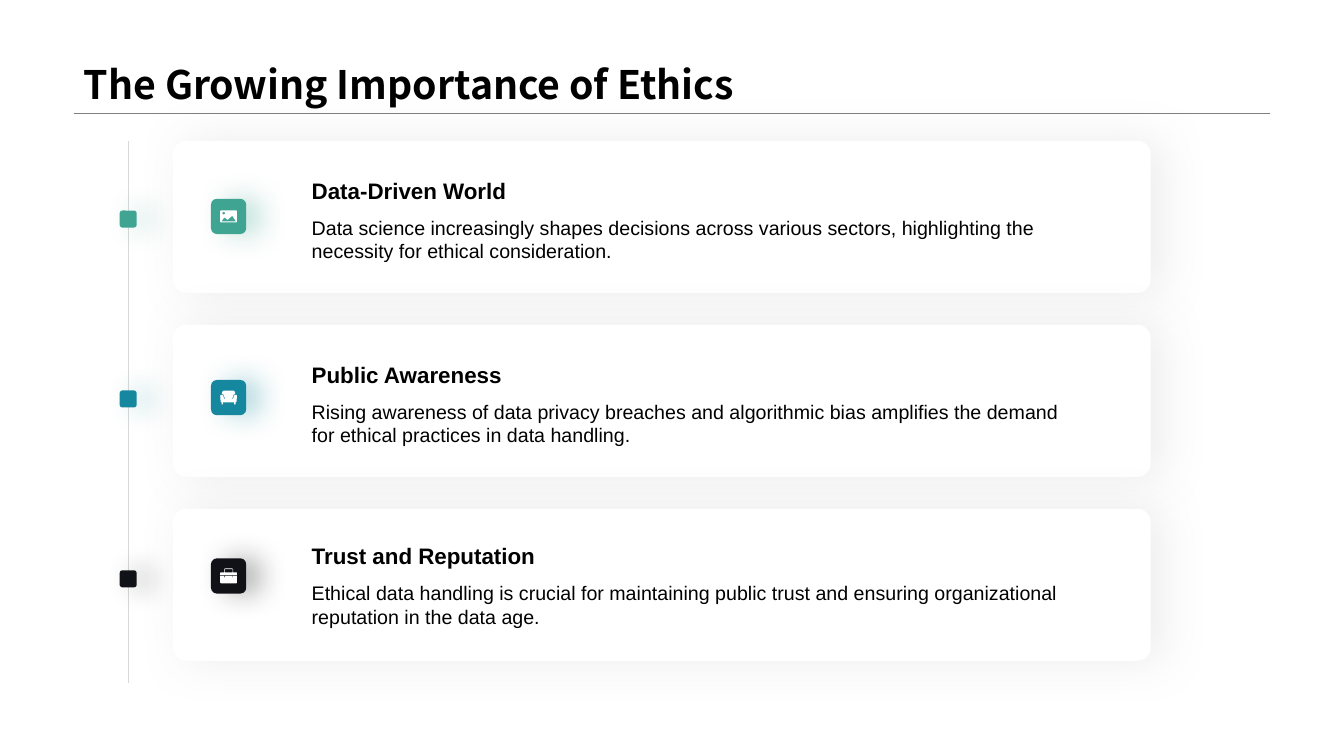
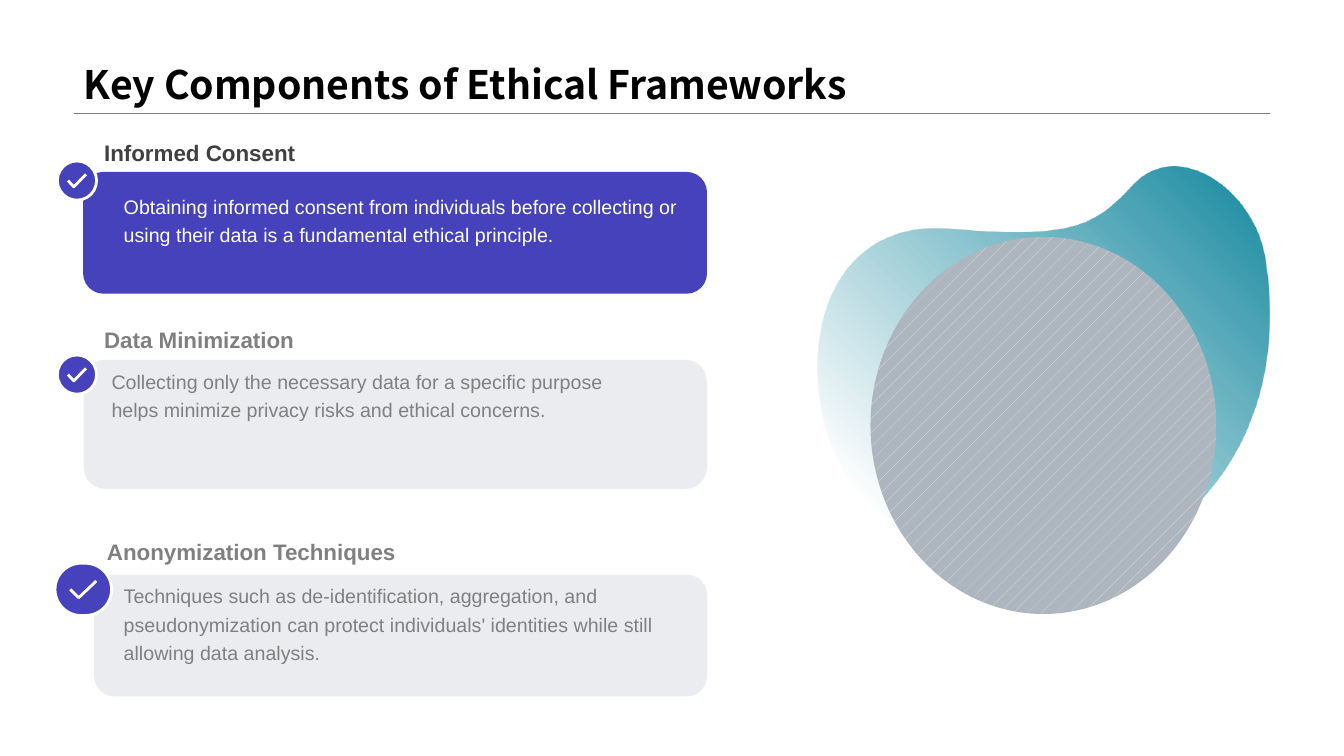
import pptx
import pptx.util
import pptx.dml.color
import pptx.enum.dml
import pptx.enum.shapes
import pptx.enum.text
import pptx.oxml.ns
import lxml.etree

Pt = pptx.util.Pt
RGBColor = pptx.dml.color.RGBColor
qn = pptx.oxml.ns.qn
ROUNDED = pptx.enum.shapes.MSO_SHAPE.ROUNDED_RECTANGLE
OVAL = pptx.enum.shapes.MSO_SHAPE.OVAL
STRAIGHT = pptx.enum.shapes.MSO_CONNECTOR.STRAIGHT
TOP = pptx.enum.text.MSO_ANCHOR.TOP
BOTTOM = pptx.enum.text.MSO_ANCHOR.BOTTOM

BLACK = RGBColor(0x00, 0x00, 0x00)
WHITE = RGBColor(0xFF, 0xFF, 0xFF)
DARK_GRAY = RGBColor(0x40, 0x40, 0x40)
GRAY = RGBColor(0x80, 0x80, 0x80)
SHADOW_GRAY = RGBColor(0xA6, 0xA6, 0xA6)
RAIL_GRAY = RGBColor(0xD8, 0xD8, 0xD8)
SLATE = RGBColor(0x76, 0x83, 0x94)
DISC_GRAY = RGBColor(0xAD, 0xB5, 0xBF)
DISC_HATCH = RGBColor(0xE4, 0xE6, 0xEA)
GREEN = RGBColor(0x3F, 0xA5, 0x92)
TEAL = RGBColor(0x15, 0x88, 0x9F)
INK = RGBColor(0x11, 0x12, 0x18)
INDIGO = RGBColor(0x45, 0x42, 0xBB)

TITLE = {"name": "Noto Sans CJK SC", "size": Pt(28), "bold": True}
HEADING = {"name": "Arial", "size": Pt(16), "bold": True}
BODY = {"name": "Arial", "size": Pt(14), "bold": False}


def add_text(slide, box, text, font_format, color, spacing=1.0, anchor=TOP):
    frame = slide.shapes.add_textbox(*map(Pt, box)).text_frame
    frame.word_wrap = True
    frame.vertical_anchor = anchor
    if anchor == TOP:
        frame.auto_size = pptx.enum.text.MSO_AUTO_SIZE.SHAPE_TO_FIT_TEXT
    paragraph = frame.paragraphs[0]
    paragraph.line_spacing = spacing
    run = paragraph.add_run()
    run.text = text
    for name, value in font_format.items():
        setattr(run.font, name, value)
    run.font.color.rgb = color


def add_rounded(slide, box, color, radius=0.1667, shadow=None, alpha=None):
    shape = slide.shapes.add_shape(ROUNDED, *map(Pt, box))
    shape.adjustments[0] = radius
    shape.fill.solid()
    shape.fill.fore_color.rgb = color
    shape.line.fill.background()
    shape.shadow.inherit = False
    if alpha:
        fill_color = shape._element.spPr.find(qn("a:solidFill"))[0]
        lxml.etree.SubElement(fill_color, qn("a:alpha"), val=str(alpha * 1000))
    if shadow:
        shadow_color, opacity, blur, distance = shadow
        effects = shape._element.spPr.find(qn("a:effectLst"))
        outer = lxml.etree.SubElement(
            effects, qn("a:outerShdw"), blurRad=str(Pt(blur)), dist=str(Pt(distance)),
            dir="0", algn="l", rotWithShape="0")
        tint = lxml.etree.SubElement(outer, qn("a:srgbClr"), val=str(shadow_color))
        lxml.etree.SubElement(tint, qn("a:alpha"), val=str(opacity * 1000))
    return shape


presentation = pptx.Presentation()
presentation.slide_width = Pt(960)
presentation.slide_height = Pt(540)

slides = []
for title in ("The Growing Importance of Ethics", "Key Components of Ethical Frameworks"):
    slide = presentation.slides.add_slide(presentation.slide_layouts[6])
    slides.append(slide)
    rule = slide.shapes.add_connector(STRAIGHT, Pt(52.8), Pt(80.8), Pt(907.2), Pt(80.8))
    rule.line.color.rgb = GRAY
    rule.line.width = Pt(0.25)
    lxml.etree.SubElement(rule._element.spPr, qn("a:effectLst"))
    add_text(slide, (52.8, 0, 854.4, 80.8), title, TITLE, BLACK, 0.9, BOTTOM)

importance, components = slides

PICTURE_ICON = [
    [(-5.5, -4.3), (5.5, -4.3), (6, -3.8), (6, 3.8), (5.5, 4.3), (-5.5, 4.3), (-6, 3.8), (-6, -3.8)],
    [(-5, 3.5), (-3.5, 1.2), (-2.6, 0.9), (-1, 2.3), (-0.3, 2.2), (2.2, -0.2), (2.8, -0.2), (5.2, 3.5)],
    [(-4.5, -2.3), (-4.2, -3), (-3.5, -3.3), (-2.8, -3), (-2.5, -2.3), (-2.8, -1.6), (-3.5, -1.3), (-4.2, -1.6)],
]
SOFA_ICON = [
    [(-5.4, -2), (-4.4, -1.9), (-3.9, -1.4), (-3.1, 1.2), (3.1, 1.2), (3.9, -1.4), (4.4, -1.9),
     (5.4, -2), (6, -1.4), (5.7, 2.9), (5, 3.4), (5, 4.9), (4, 4.9), (4, 3.4), (-4, 3.4),
     (-4, 4.9), (-5, 4.9), (-5, 3.4), (-5.7, 2.9), (-6, -1.4)],
    [(-3.6, -4.9), (3.6, -4.9), (4.6, -4), (4.7, -2.7), (3.5, -2), (2.6, 1), (-2.6, 1),
     (-3.5, -2), (-4.7, -2.7), (-4.6, -4)],
]
BRIEFCASE_ICON = [
    [(-6, -0.1), (-3.3, -0.1), (-3.3, 1), (-2.9, 1), (-2.9, -0.1), (2.9, -0.1), (2.9, 1),
     (3.3, 1), (3.3, -0.1), (6, -0.1), (6, 4.8), (5.5, 5.3), (-5.5, 5.3), (-6, 4.8)],
    [(-5.5, -2.6), (-3.2, -2.6), (-3.2, -4.8), (-2.6, -5.3), (2.6, -5.3), (3.2, -4.8),
     (3.2, -2.6), (5.5, -2.6), (6, -2.1), (6, -0.5), (-6, -0.5), (-6, -2.1)],
    [(-2.8, -4.9), (2.8, -4.9), (2.8, -2.6), (-2.8, -2.6)],
]

reasons = [
    ("Data-Driven World",
     "Data science increasingly shapes decisions across various sectors, "
     "highlighting the necessity for ethical consideration.",
     GREEN, 122.8, 142, PICTURE_ICON),
    ("Public Awareness",
     "Rising awareness of data privacy breaches and algorithmic bias amplifies "
     "the demand for ethical practices in data handling.",
     TEAL, 254.2, 271.4, SOFA_ICON),
    ("Trust and Reputation",
     "Ethical data handling is crucial for maintaining public trust and ensuring "
     "organizational reputation in the data age.",
     INK, 383.6, 398.8, BRIEFCASE_ICON),
]
for index, (heading, body, color, text_top, tile_top, icon) in enumerate(reasons):
    add_rounded(importance, (123.6, 100.6 + index * 131.4, 698.4, 108.6), WHITE, 0.087,
                (SHADOW_GRAY, 20, 32, 8))
    add_rounded(importance, (150.7, tile_top, 25.2, 25.2), color, shadow=(color, 32, 20, 10))
    points = [[(Pt(163.3 + x), Pt(tile_top + 12.6 + y)) for x, y in contour] for contour in icon]
    builder = importance.shapes.build_freeform(*points[0][0])
    builder.add_line_segments(points[0][1:])
    for contour in points[1:]:
        builder.move_to(*contour[0])
        builder.add_line_segments(contour[1:])
    symbol = builder.convert_to_shape()
    symbol.fill.solid()
    symbol.fill.fore_color.rgb = WHITE
    symbol.line.fill.background()
    symbol.shadow.inherit = False
    add_text(importance, (215.6, text_top, 553.6, 26.6), heading, HEADING, BLACK)
    add_text(importance, (215.6, text_top + 27.8, 553.6, 41), body, BODY, BLACK)

rail = importance.shapes.add_connector(STRAIGHT, Pt(91.6), Pt(100.8), Pt(91.6), Pt(488))
rail.line.color.rgb = RAIL_GRAY
rail.line.width = Pt(0.5)
lxml.etree.SubElement(rail._element.spPr, qn("a:effectLst"))
for index, reason in enumerate(reasons):
    color = reason[2]
    add_rounded(importance, (85.5, 150.4 + index * 128.5, 12.2, 12.2), color,
                shadow=(color, 32, 20, 10))

blob_left, blob_top, blob_right, blob_bottom = 583.2, 118.8, 906.6, 409
blob_start = (678.2, 163.4)
blob_curves = [
    [(764.6, 170.6), (781.2, 162), (808.6, 132.5)],
    [(840.2, 97.9), (895.7, 134.6), (903.6, 185)],
    [(923, 305.3), (853.2, 396.7), (753.1, 408.2)],
    [(645.1, 420.5), (588.2, 344.9), (583.9, 271.4)],
    [(580.3, 205.9), (614.9, 157.7), blob_start],
]
builder = components.shapes.build_freeform(Pt(blob_left), Pt(blob_top))
builder.add_line_segments([(Pt(blob_right), Pt(blob_top)), (Pt(blob_right), Pt(blob_bottom))])
blob = builder.convert_to_shape()
outline = blob._element.spPr.find(".//" + qn("a:path"))
for segment in list(outline):
    outline.remove(segment)
for tag, points in [("a:moveTo", [blob_start])] + [("a:cubicBezTo", curve) for curve in blob_curves]:
    segment = lxml.etree.SubElement(outline, qn(tag))
    for x, y in points:
        lxml.etree.SubElement(segment, qn("a:pt"),
                              x=str(Pt(x - blob_left)), y=str(Pt(y - blob_top)))
lxml.etree.SubElement(outline, qn("a:close"))
blob.fill.gradient()
blob.fill.gradient_angle = 225
for stop, position in zip(blob.fill.gradient_stops, (0, 0.86)):
    stop.color.rgb = TEAL
    stop.position = position
clear_stop = blob._element.spPr.findall(".//" + qn("a:gs"))[1]
lxml.etree.SubElement(clear_stop[0], qn("a:alpha"), val="0")

disc = components.shapes.add_shape(OVAL, Pt(621.8), Pt(169.2), Pt(247), Pt(269.4))
disc.fill.patterned()
disc.fill.pattern = pptx.enum.dml.MSO_PATTERN.PERCENT_5
disc.fill.fore_color.rgb = DISC_HATCH
disc.fill.back_color.rgb = DISC_GRAY
for shape in (blob, disc):
    shape.line.fill.background()
    shape.shadow.inherit = False

principles = [
    ("Informed Consent",
     "Obtaining informed consent from individuals before collecting or using "
     "their data is a fundamental ethical principle.",
     (59.4, 122.8, 445.6, 87), (41, 115, 28, 28),
     (67.3, 95.8, 437.8, 26.6), (81.3, 132.4, 416.2, 46), INDIGO, None, DARK_GRAY, WHITE),
    ("Data Minimization",
     "Collecting only the necessary data for a specific purpose helps minimize "
     "privacy risks and ethical concerns.",
     (59.8, 257, 445.2, 92.2), (41, 253.6, 28, 28),
     (67.3, 229.6, 437.8, 26.6), (72.6, 257, 402.4, 46), SLATE, 15, GRAY, GRAY),
    ("Anonymization Techniques",
     "Techniques such as de-identification, aggregation, and pseudonymization can "
     "protect individuals' identities while still allowing data analysis.",
     (67.2, 410.4, 437.8, 87), (39.3, 402.3, 40.4, 37.4),
     (69.3, 380.8, 402.4, 26.6), (81.3, 410.4, 416.2, 46), SLATE, 15, GRAY, GRAY),
]
for (heading, body, card_box, badge_box, heading_box, body_box,
     fill, alpha, heading_color, body_color) in principles:
    add_rounded(components, card_box, fill, alpha=alpha)
    badge = add_rounded(components, badge_box, INDIGO, 0.5)
    left, top, width, height = badge_box
    tick = [(Pt(left + x * width), Pt(top + y * height))
            for x, y in ((0.73, 0.34), (0.42, 0.66), (0.27, 0.5))]
    builder = components.shapes.build_freeform(*tick[0])
    builder.add_line_segments(tick[1:], close=False)
    check = builder.convert_to_shape()
    check.fill.background()
    check.shadow.inherit = False
    for shape in (badge, check):
        shape.line.color.rgb = WHITE
        shape.line.width = Pt(2)
    add_text(components, heading_box, heading, HEADING, heading_color)
    add_text(components, body_box, body, BODY, body_color, 1.2)

presentation.save("out.pptx")
